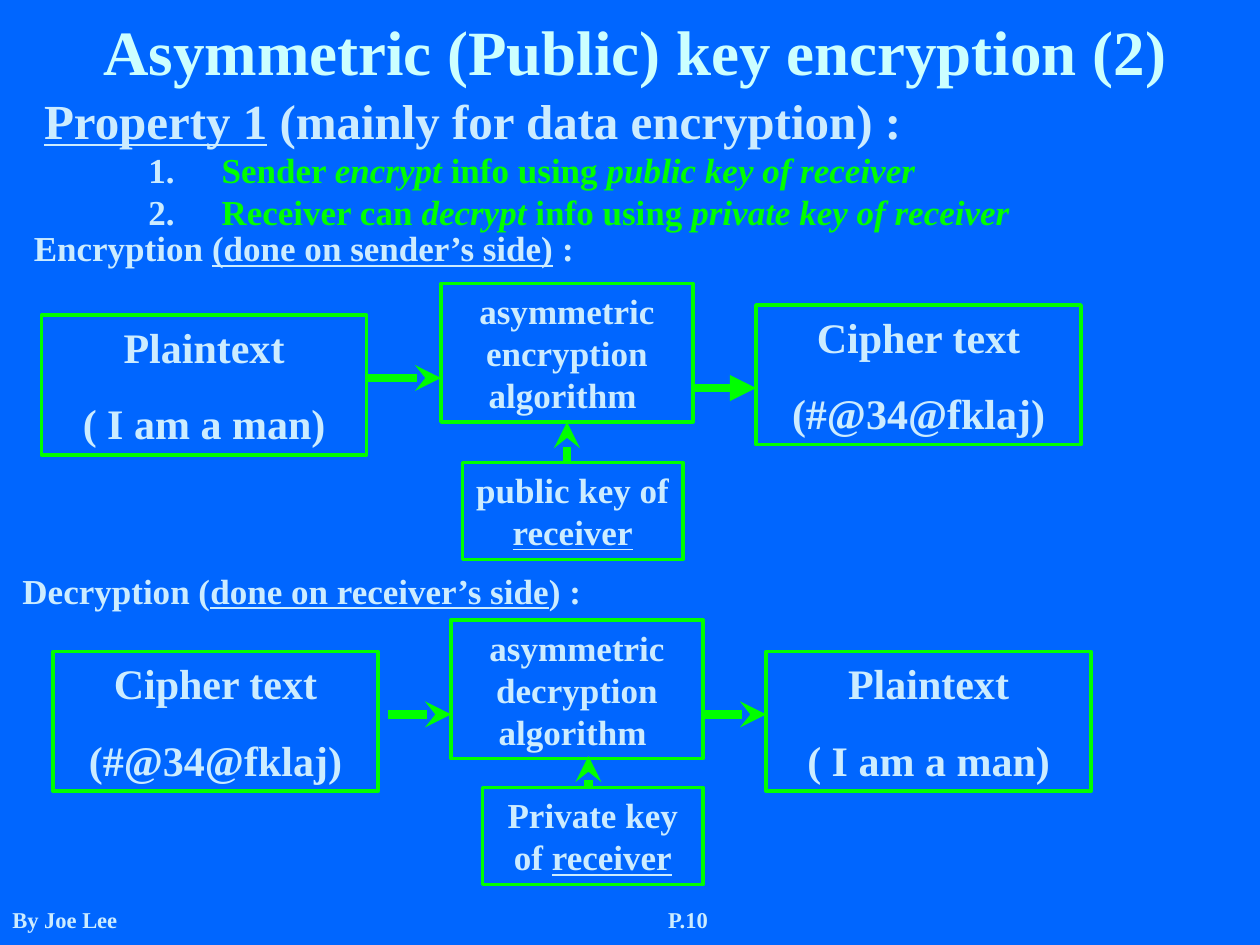
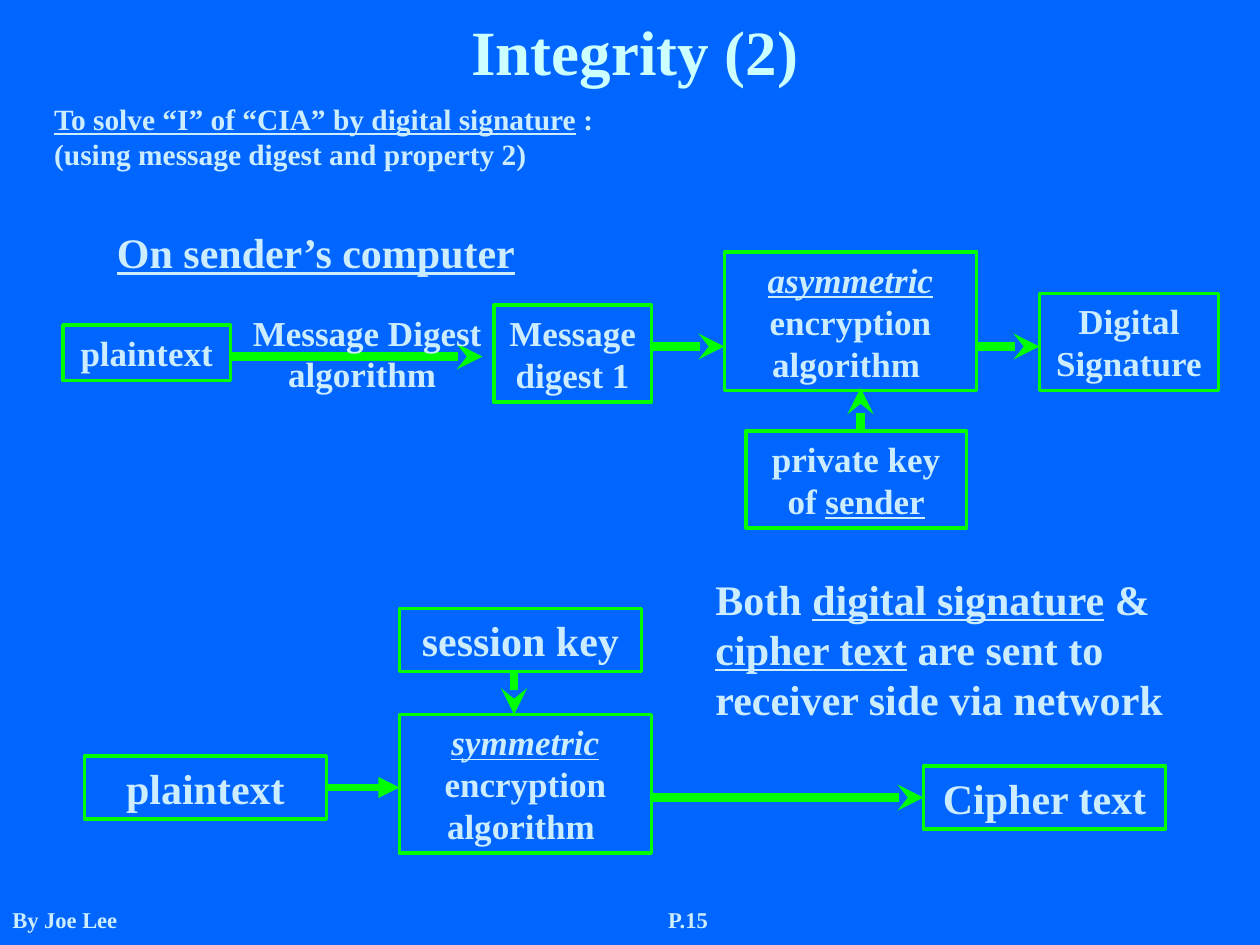
import pptx
import pptx.util
import pptx.dml.color
import pptx.enum.shapes
import pptx.enum.text
import pptx.oxml.ns
from dataclasses import dataclass
from lxml import etree
from typing import Any, Iterator, Optional

Inches = pptx.util.Inches
Pt = pptx.util.Pt
RGBColor = pptx.dml.color.RGBColor
Align = pptx.enum.text.PP_ALIGN
Anchor = pptx.enum.text.MSO_ANCHOR
Fit = pptx.enum.text.MSO_AUTO_SIZE

BLUE = RGBColor(0x00, 0x66, 0xFF)
PALE = RGBColor(0xCC, 0xEC, 0xFF)
CYAN = RGBColor(0xCC, 0xFF, 0xFF)
GREEN = RGBColor(0x00, 0xFF, 0x00)
FACE = "Times New Roman"


@dataclass
class Style:
    size: float = 20
    color: RGBColor = PALE
    align: Align = Align.LEFT
    anchor: Anchor = Anchor.TOP
    grow: bool = True
    before: Optional[float] = None
    line: float = 1.0
    hang: float = 0
    number: int = 0


@dataclass
class Block:
    left: float
    top: float
    width: float
    height: float
    text: str
    style: Style


@dataclass
class Arrow:
    x: float
    y: float
    to_x: float
    to_y: float
    head: str = "stealth"
    weight: float = 5


@dataclass
class Page:
    title: str
    body: Block
    boxes: list[Block]
    arrows: list[Arrow]
    labels: list[Block]
    number: int


MID = Style(align=Align.CENTER)
BIG = Style(size=24, align=Align.CENTER)
LABEL = Style()
NOTE = Style(size=24)
TITLE = Style(size=36, color=CYAN, align=Align.CENTER, anchor=Anchor.BOTTOM, grow=False)
FOOT = Style(size=12.9, anchor=Anchor.BOTTOM, grow=False, line=0.9)
COUNT = Style(size=12.9, align=Align.CENTER, anchor=Anchor.BOTTOM, grow=False, line=0.9)


def step(number: int) -> Style:
    return Style(color=GREEN, grow=False, line=0.9, hang=0.58, number=number)


def algo(left: float, top: float, text: str) -> Block:
    return Block(left, top, 2, 1.1, text, MID)


def key(left: float, top: float, text: str) -> Block:
    return Block(left, top, 1.75, 0.77, text, MID)


def data(left: float, top: float, text: str) -> Block:
    return Block(left, top, 2.58, 1.11, text, BIG)


def short(left: float, top: float, text: str) -> Block:
    return Block(left, top, 1.92, 0.5, text, BIG)


PLAIN = "Plaintext\n( I am a man)"
CIPHER = "Cipher text\n(#@34@fklaj)"

PAGES = [
    Page(
        "Asymmetric (Public) key encryption (2)",
        Block(0.25, 0.67, 9.42, 0.58, "_Property 1_ (mainly for data encryption) :",
              Style(size=28, grow=False)),
        [
            data(0.33, 2.5, PLAIN),
            data(6, 2.42, CIPHER),
            data(6.08, 5.17, PLAIN),
            data(0.42, 5.17, CIPHER),
            algo(3.5, 2.25, "asymmetric encryption algorithm "),
            key(3.67, 3.67, "public key of _receiver_"),
            algo(3.58, 4.92, "asymmetric decryption algorithm "),
            key(3.83, 6.25, "Private key of _receiver_"),
        ],
        [
            Arrow(5.5, 3.08, 6, 3.08, "triangle"),
            Arrow(2.92, 3, 3.5, 3),
            Arrow(4.5, 3.67, 4.5, 3.33),
            Arrow(5.58, 5.67, 6.08, 5.67),
            Arrow(3.08, 5.67, 3.58, 5.67),
            Arrow(4.67, 6.25, 4.67, 6),
        ],
        [
            Block(0.17, 1.75, 5.5, 0.44, "Encryption _(done on sender’s side)_ :", LABEL),
            Block(0.08, 4.47, 5.5, 0.44, "Decryption (_done on receiver’s side_) :", LABEL),
            Block(0.58, 1.17, 8.75, 0.33,
                  "Sender *encrypt* info using *public key of receiver*", step(1)),
            Block(0.58, 1.5, 8.75, 0.42,
                  "Receiver can *decrypt* info using *private key of receiver*", step(2)),
        ],
        10,
    ),
    Page(
        "Integrity (2)",
        Block(0.33, 0.83, 9.33, 0.58,
              "_To solve “I” of “CIA” by digital signature_ :\n"
              "(using message digest and property 2)",
              Style(size=16.8, grow=False, before=6, line=0.7)),
        [
            Block(0.5, 2.58, 1.33, 0.44, "plaintext", MID),
            Block(3.92, 2.42, 1.25, 0.77, "Message digest 1", MID),
            Block(8.25, 2.33, 1.42, 0.77, "Digital Signature", MID),
            short(0.67, 6, "plaintext"),
            short(7.33, 6.08, "Cipher text"),
            short(3.17, 4.83, "session key"),
            algo(5.75, 2, "_*asymmetric*_ encryption algorithm "),
            algo(3.17, 5.67, "_*symmetric*_ encryption algorithm "),
            key(5.92, 3.42, "private key of _sender_"),
        ],
        [
            Arrow(5.17, 2.75, 5.75, 2.75),
            Arrow(2.58, 6.25, 3.17, 6.25, "triangle", 4),
            Arrow(1.83, 2.83, 3.83, 2.83),
            Arrow(7.75, 2.75, 8.25, 2.75),
            Arrow(6.83, 3.42, 6.83, 3.08),
            Arrow(4.08, 5.33, 4.08, 5.67),
            Arrow(5.17, 6.33, 7.33, 6.33),
        ],
        [
            Block(0.83, 1.75, 3.5, 0.5, "_On sender’s computer_", NOTE),
            Block(1.83, 2.42, 2.17, 0.44, "Message Digest", MID),
            Block(2, 2.75, 1.75, 0.44, "algorithm", MID),
            Block(5.58, 4.5, 4.08, 1.3,
                  "Both _digital signature_ & _cipher text_ are sent to receiver side via network",
                  NOTE),
        ],
        15,
    ),
]


def apply(item: Any, values: dict[str, Any]) -> None:
    for name, value in values.items():
        setattr(item, name, value)


def child(parent: Any, tag: str, **values: str) -> Any:
    node = etree.SubElement(parent, pptx.oxml.ns.qn(tag))
    for name, value in values.items():
        node.set(name, value)
    return node


def pieces(text: str) -> Iterator[tuple[str, bool, bool]]:
    for under, part in enumerate(text.split("_")):
        for slant, piece in enumerate(part.split("*")):
            if piece:
                yield piece, slant % 2 == 1, under % 2 == 1


def bullet(para: Any, style: Style) -> None:
    props = para._p.get_or_add_pPr()
    props.set("marL", str(Inches(1.08 if style.number else style.hang)))
    props.set("indent", str(-Inches(style.hang)))
    if style.number:
        color = child(props, "a:buClr")
        child(color, "a:srgbClr", val=str(PALE))
        child(props, "a:buFont", typeface=FACE)
        child(props, "a:buAutoNum", type="arabicPeriod", startAt=str(style.number))
    else:
        child(props, "a:buNone")


def write(shape: Any, text: str, style: Style) -> None:
    frame = shape.text_frame
    apply(frame, {
        "word_wrap": True,
        "auto_size": Fit.SHAPE_TO_FIT_TEXT if style.grow else Fit.NONE,
        "vertical_anchor": style.anchor,
        "margin_left": Inches(0.1),
        "margin_right": Inches(0.1),
        "margin_top": Inches(0.05),
        "margin_bottom": Inches(0.05),
    })
    gap = style.size * 0.625 if style.before is None else style.before
    for index, row in enumerate(text.split("\n")):
        para = frame.add_paragraph() if index else frame.paragraphs[0]
        bullet(para, style)
        apply(para, {
            "alignment": style.align,
            "line_spacing": style.line,
            "space_before": Pt(gap if index else 0),
        })
        for piece, slant, under in pieces(row):
            run = para.add_run()
            run.text = piece
            apply(run.font, {"name": FACE, "size": Pt(style.size), "bold": True,
                             "italic": slant, "underline": under})
            run.font.color.rgb = style.color


def place(block: Block) -> list[int]:
    return [Inches(n) for n in (block.left, block.top, block.width, block.height)]


def fill(holder: Any, block: Block) -> None:
    apply(holder, dict(zip(("left", "top", "width", "height"), place(block))))
    write(holder, block.text, block.style)


def label(slide: Any, block: Block) -> None:
    write(slide.shapes.add_textbox(*place(block)), block.text, block.style)


def frame(slide: Any, block: Block) -> Any:
    kind = pptx.enum.shapes.MSO_SHAPE.RECTANGLE
    shape = slide.shapes.add_shape(kind, *place(block))
    shape.shadow.inherit = False
    shape.fill.background()
    shape.line.color.rgb = GREEN
    shape.line.width = Pt(2)
    write(shape, block.text, block.style)
    return shape


def join(connect: Any, x: float, y: float, boxes: list[tuple[Block, Any]]) -> None:
    for box, shape in boxes:
        mid_x, mid_y = box.left + box.width / 2, box.top + box.height / 2
        sides = [(mid_x, box.top), (box.left, mid_y),
                 (mid_x, box.top + box.height), (box.left + box.width, mid_y)]
        for side, (side_x, side_y) in enumerate(sides):
            if max(abs(x - side_x), abs(y - side_y)) < 0.025:
                connect(shape, side)


def draw(slide: Any, arrow: Arrow, boxes: list[tuple[Block, Any]]) -> None:
    kind = pptx.enum.shapes.MSO_CONNECTOR.STRAIGHT
    ends = [Inches(n) for n in (arrow.x, arrow.y, arrow.to_x, arrow.to_y)]
    line = slide.shapes.add_connector(kind, *ends)
    line.line.color.rgb = GREEN
    line.line.width = Pt(arrow.weight)
    child(line.line._get_or_add_ln(), "a:tailEnd", type=arrow.head)
    child(line._element.spPr, "a:effectLst")
    join(line.begin_connect, arrow.x, arrow.y, boxes)
    join(line.end_connect, arrow.to_x, arrow.to_y, boxes)


def build(deck: Any, page: Page) -> None:
    slide = deck.slides.add_slide(deck.slide_layouts[1])
    fill(slide.shapes.title, Block(0.25, 0.17, 9.58, 0.58, page.title, TITLE))
    fill(slide.placeholders[1], page.body)
    boxes = [(box, frame(slide, box)) for box in page.boxes]
    for arrow in page.arrows:
        draw(slide, arrow, boxes)
    for block in page.labels:
        label(slide, block)
    label(slide, Block(0, 6.83, 3.17, 0.63, "By Joe Lee", FOOT))
    label(slide, Block(4.42, 6.83, 2.08, 0.63, f"P.{page.number}", COUNT))


def main() -> None:
    deck = pptx.Presentation()
    apply(deck, {"slide_width": Inches(10), "slide_height": Inches(7.5)})
    back = deck.slide_master.background.fill
    back.solid()
    back.fore_color.rgb = BLUE
    for page in PAGES:
        build(deck, page)
    deck.save("out.pptx")


if __name__ == "__main__":
    main()
